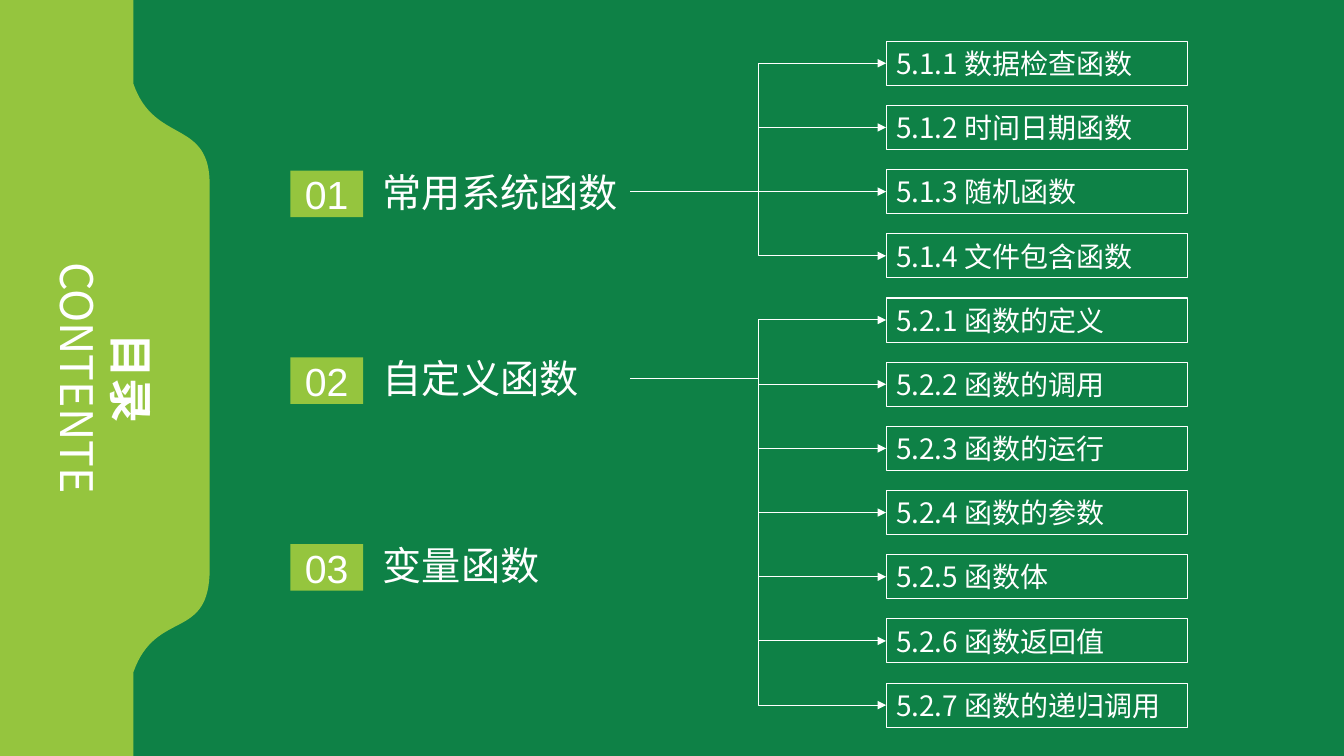
from dataclasses import dataclass

from lxml.etree import SubElement
from pptx import Presentation
from pptx.dml.color import RGBColor
from pptx.enum.shapes import MSO_CONNECTOR, MSO_SHAPE
from pptx.enum.text import MSO_ANCHOR, MSO_AUTO_SIZE, PP_ALIGN
from pptx.oxml.ns import qn
from pptx.util import Inches, Pt


@dataclass(frozen=True)
class Theme:
    green: RGBColor = RGBColor(0x0E, 0x81, 0x46)
    lime: RGBColor = RGBColor(0x95, 0xC5, 0x3E)
    white: RGBColor = RGBColor(0xFF, 0xFF, 0xFF)
    latin: str = "Arial"
    chinese: str = "Noto Sans CJK SC"
    title_size: Pt = Pt(32)
    chapter_size: Pt = Pt(28)
    topic_size: Pt = Pt(20)
    line_width: Pt = Pt(0.75)


THEME = Theme()
WIDTH, HEIGHT = Inches(13.333), Inches(7.5)

CHAPTERS = [
    ("常用系统函数", ["数据检查函数", "时间日期函数", "随机函数", "文件包含函数"]),
    ("自定义函数", ["函数的定义", "函数的调用", "函数的运行", "函数的参数",
               "函数体", "函数返回值", "函数的递归调用"]),
    ("变量函数", []),
]
CHAPTER_ROW, CHAPTER_PITCH = 25.35, 24.7
TOPIC_ROW, TOPIC_PITCH = 8.37, 8.49
BADGE_COL, HEADING_COL, BRANCH_COL, TOPIC_COL = 21.6, 27.75, 46.9, 65.93


def col(share):
    return round(WIDTH * share / 100)


def row(share):
    return round(HEIGHT * share / 100)


def frame(left, middle, width, height):
    return col(left), row(middle - height / 2), col(width), row(height)


def write(paragraph, words, size, font, align, bold=False):
    paragraph.alignment = align
    run = paragraph.add_run()
    run.text = words
    run.font.size = size
    run.font.bold = bold
    run.font.color.rgb = THEME.white
    run.font.name = font
    SubElement(run._r.get_or_add_rPr(), qn("a:ea"), typeface=THEME.chinese)


def add_side_panel(slide):
    def curve(start, pull_out, pull_in, end, steps=32):
        for step in range(1, steps + 1):
            t = step / steps
            weights = ((1 - t) ** 3, 3 * t * (1 - t) ** 2, 3 * t * t * (1 - t), t ** 3)
            yield tuple(
                sum(weight * value for weight, value in zip(weights, axis))
                for axis in zip(start, pull_out, pull_in, end)
            )

    edge, bulge = 9.93, 15.6
    outline = [(edge, 0), (edge, 11.1)]
    outline += curve((edge, 11.1), (11.5, 19.2), (15.7, 15.6), (bulge, 24.7))
    outline.append((bulge, 75.3))
    outline += curve((bulge, 75.3), (15.6, 84.9), (11.6, 80.5), (edge, 88.9))
    outline += [(edge, 100), (0, 100)]
    builder = slide.shapes.build_freeform(0, 0)
    builder.add_line_segments([(col(x), row(y)) for x, y in outline], close=True)
    panel = builder.convert_to_shape()
    panel.shadow.inherit = False
    panel.fill.solid()
    panel.fill.fore_color.rgb = THEME.lime
    panel.line.fill.background()


def add_title(slide):
    title = slide.shapes.add_textbox(*frame(-2.93, 50, 21.45, 15.73))
    title.rotation = 90
    text = title.text_frame
    text.word_wrap = True
    text.auto_size = MSO_AUTO_SIZE.SHAPE_TO_FIT_TEXT
    write(text.paragraphs[0], "目录", THEME.title_size, THEME.chinese,
          PP_ALIGN.CENTER, bold=True)
    write(text.add_paragraph(), "CONTENTE", THEME.title_size, THEME.chinese,
          PP_ALIGN.CENTER)


def add_box(slide, place):
    box = slide.shapes.add_shape(MSO_SHAPE.RECTANGLE, *place)
    box.shadow.inherit = False
    box.text_frame.word_wrap = True
    box.text_frame.vertical_anchor = MSO_ANCHOR.MIDDLE
    return box


def add_badge(slide, number, middle):
    badge = add_box(slide, frame(BADGE_COL, middle + 0.3, 5.42, 6.15))
    badge.fill.solid()
    badge.fill.fore_color.rgb = THEME.lime
    badge.line.fill.background()
    write(badge.text_frame.paragraphs[0], f"{number:02}", THEME.chapter_size,
          THEME.latin, PP_ALIGN.CENTER)


def add_heading(slide, words, middle):
    heading = slide.shapes.add_textbox(*frame(HEADING_COL, middle, 19.2, 7.6))
    text = heading.text_frame
    text.word_wrap = True
    text.auto_size = MSO_AUTO_SIZE.SHAPE_TO_FIT_TEXT
    write(text.paragraphs[0], words, THEME.chapter_size, THEME.latin, PP_ALIGN.JUSTIFY)


def add_topic(slide, words, middle):
    topic = add_box(slide, frame(TOPIC_COL, middle, 22.45, 5.83))
    topic.text_frame.auto_size = MSO_AUTO_SIZE.SHAPE_TO_FIT_TEXT
    topic.fill.background()
    topic.line.color.rgb = THEME.white
    topic.line.width = THEME.line_width
    write(topic.text_frame.paragraphs[0], words, THEME.topic_size, THEME.chinese,
          PP_ALIGN.LEFT)


def add_branch(slide, chapter_middle, topic_middle):
    branch = slide.shapes.add_connector(
        MSO_CONNECTOR.ELBOW,
        col(BRANCH_COL), row(chapter_middle), col(TOPIC_COL), row(topic_middle),
    )
    branch.line.color.rgb = THEME.white
    branch.line.width = THEME.line_width
    SubElement(branch.line._get_or_add_ln(), qn("a:tailEnd"), type="triangle")
    SubElement(branch._element.spPr, qn("a:effectLst"))


def main():
    deck = Presentation()
    deck.slide_width, deck.slide_height = WIDTH, HEIGHT
    slide = deck.slides.add_slide(deck.slide_layouts[6])
    slide.background.fill.solid()
    slide.background.fill.fore_color.rgb = THEME.green

    add_side_panel(slide)
    add_title(slide)
    topic_middle = TOPIC_ROW
    for number, (heading, topics) in enumerate(CHAPTERS, 1):
        chapter_middle = CHAPTER_ROW + CHAPTER_PITCH * (number - 1)
        add_heading(slide, heading, chapter_middle)
        add_badge(slide, number, chapter_middle)
        for index, topic in enumerate(topics, 1):
            add_topic(slide, f"5.{number}.{index} {topic}", topic_middle)
            add_branch(slide, chapter_middle, topic_middle)
            topic_middle += TOPIC_PITCH

    deck.save("out.pptx")


if __name__ == "__main__":
    main()
